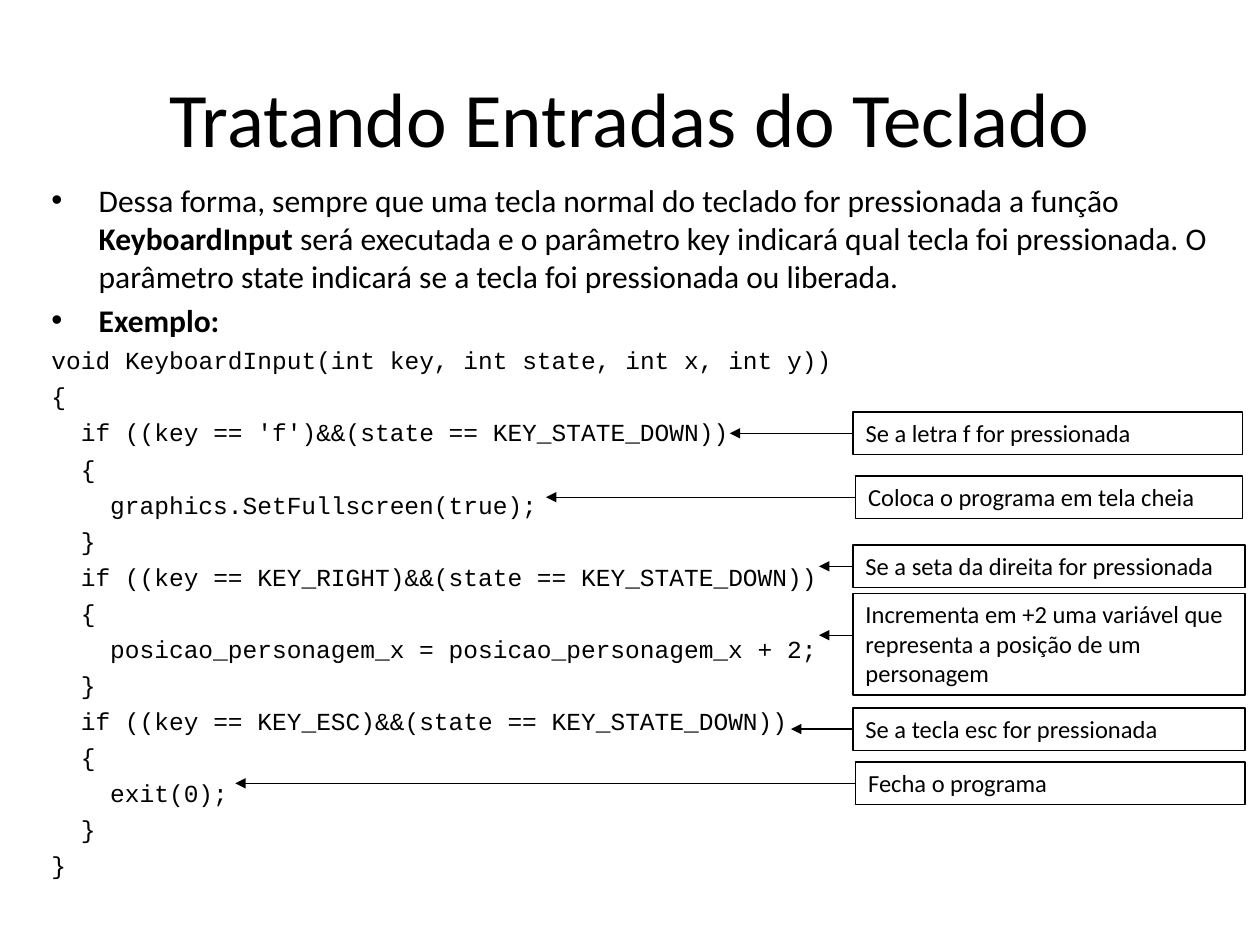
"""Builds a slide explaining keyboard input handling with annotated code."""
from pptx import Presentation
from pptx.dml.color import RGBColor
from pptx.enum.shapes import MSO_CONNECTOR as Connector, MSO_SHAPE as Shape
from pptx.enum.text import MSO_ANCHOR as Anchor, PP_ALIGN as Align
from pptx.oxml.ns import qn
from pptx.util import Pt
from lxml.etree import SubElement

COLORS = {"ink": "000000"}
BODY_FONT, CODE_FONT = "Calibri", "Courier New"
TITLE = "Tratando Entradas do Teclado"
BULLETS = [
    [("Dessa forma, sempre que uma tecla normal do teclado for pressionada a função ", False),
     ("KeyboardInput ", True),
     ("será executada e o parâmetro key indicará qual tecla foi pressionada. "
      "O parâmetro state indicará se a tecla foi pressionada ou liberada.", False)],
    [("Exemplo:", True)],
]
CODE = [
    (0, "void KeyboardInput(int key, int state, int x, int y))"),
    (0, "{"),
    (1, "if ((key == 'f')&&(state == KEY_STATE_DOWN))"),
    (1, "{"),
    (2, "graphics.SetFullscreen(true);"),
    (1, "}"),
    (1, "if ((key == KEY_RIGHT)&&(state == KEY_STATE_DOWN))"),
    (1, "{"),
    (2, "posicao_personagem_x = posicao_personagem_x + 2;"),
    (1, "}"),
    (1, "if ((key == KEY_ESC)&&(state == KEY_STATE_DOWN))"),
    (1, "{"),
    (2, "exit(0);"),
    (1, "}"),
    (0, "}"),
]
LINE_BOX, TALL_BOX = 24.24, 58.2
NOTES = [  # left, top, right, height, arrow tip, text
    (487.5, 235.5, 710, LINE_BOX, 417, "Se a letra f for pressionada"),
    (489, 272, 710, LINE_BOX, 312, "Coloca o programa em tela cheia"),
    (487.5, 311.5, 711.5, LINE_BOX, 468, "Se a seta da direita for pressionada"),
    (487.5, 339, 711.5, TALL_BOX, 468,
     "Incrementa em +2 uma variável que representa a posição de um personagem"),
    (487.5, 404.5, 711.5, LINE_BOX, 452, "Se a tecla esc for pressionada"),
    (489, 435.5, 711.5, LINE_BOX, 134.5, "Fecha o programa"),
]
TALL_ARROW_Y = 363
CODE_SIZE = 14
CODE_INDENT = 2 * 0.6 * CODE_SIZE
BULLET_INDENT = 27


def set_font(paragraph, size, name=BODY_FONT):
    paragraph.font.size = Pt(size)
    paragraph.font.name = name
    paragraph.font.color.rgb = RGBColor.from_string(COLORS["ink"])


def add_text_box(slide, left, top, width, height):
    frame = slide.shapes.add_textbox(Pt(left), Pt(top), Pt(width), Pt(height)).text_frame
    frame.word_wrap = True
    return frame


def add_bullet(paragraph, runs):
    for text, bold in runs:
        run = paragraph.add_run()
        run.text, run.font.bold = text, bold
    set_font(paragraph, 18)
    paragraph.space_before = Pt(3.6)
    properties = paragraph._p.get_or_add_pPr()
    properties.set("marL", str(Pt(BULLET_INDENT)))
    properties.set("indent", str(-Pt(BULLET_INDENT)))
    bullet_font = properties.makeelement(qn("a:buFont"), {"typeface": "Arial"})
    bullet = properties.makeelement(qn("a:buChar"), {"char": "•"})
    properties.insert_element_before(bullet_font, "a:tabLst", "a:defRPr")
    properties.insert_element_before(bullet, "a:tabLst", "a:defRPr")


def add_code(paragraph, depth, text):
    paragraph.text = text
    set_font(paragraph, CODE_SIZE, CODE_FONT)
    paragraph.space_before = Pt(3.8)
    properties = paragraph._p.get_or_add_pPr()
    properties.set("marL", str(Pt(depth * CODE_INDENT)))
    properties.set("indent", "0")


def add_note(slide, left, top, right, height, tip, text):
    box = slide.shapes.add_shape(
        Shape.RECTANGLE, Pt(left), Pt(top), Pt(right - left), Pt(height))
    box.shadow.inherit = False
    box.fill.background()
    box.line.color.rgb = RGBColor.from_string(COLORS["ink"])
    box.line.width = Pt(0.75)
    frame = box.text_frame
    frame.word_wrap = True
    frame.vertical_anchor = Anchor.TOP
    paragraph = frame.paragraphs[0]
    paragraph.text = text
    paragraph.alignment = Align.LEFT
    set_font(paragraph, 14)

    is_tall = height == TALL_BOX
    y = TALL_ARROW_Y if is_tall else top + height / 2
    arrow = slide.shapes.add_connector(Connector.STRAIGHT, Pt(left), Pt(y), Pt(tip), Pt(y))
    if not is_tall:
        arrow.begin_connect(box, 1)
    arrow.line.color.rgb = RGBColor.from_string(COLORS["ink"])
    arrow.line.width = Pt(0.75)
    SubElement(arrow.line._get_or_add_ln(), qn("a:tailEnd"), type="triangle")
    SubElement(arrow._element.spPr, qn("a:effectLst"))


def main():
    presentation = Presentation()
    presentation.slide_width, presentation.slide_height = Pt(720), Pt(540)
    slide = presentation.slides.add_slide(presentation.slide_layouts[6])

    title = add_text_box(slide, 36, 21.6, 648, 90)
    title.vertical_anchor = Anchor.MIDDLE
    heading = title.paragraphs[0]
    heading.text = TITLE
    heading.alignment = Align.CENTER
    set_font(heading, 44)

    body = add_text_box(slide, 22.3, 100, 675, 340)
    for index, runs in enumerate(BULLETS):
        add_bullet(body.add_paragraph() if index else body.paragraphs[0], runs)
    for depth, text in CODE:
        add_code(body.add_paragraph(), depth, text)

    for note in NOTES:
        add_note(slide, *note)
    presentation.save("out.pptx")


if __name__ == "__main__":
    main()
